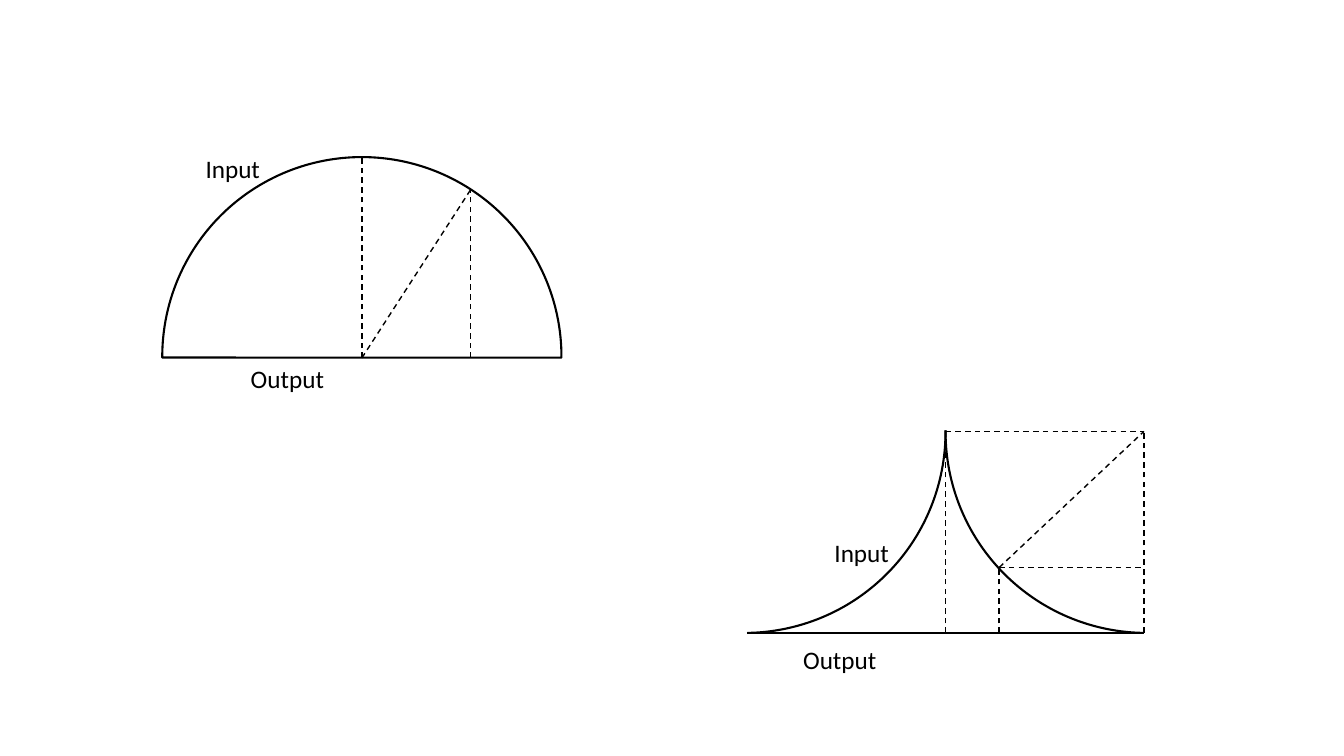
"""Build a slide with a semicircle and a cusp, each mapping input to output."""
from lxml.etree import SubElement
from pptx import Presentation
from pptx.dml.color import RGBColor
from pptx.enum.dml import MSO_LINE
from pptx.enum.shapes import MSO_CONNECTOR, MSO_SHAPE
from pptx.enum.text import MSO_AUTO_SIZE
from pptx.oxml.ns import qn
from pptx.util import Cm, Pt

THEME = {
    "ink": RGBColor(0, 0, 0),
    "solid": {"width": Pt(1.5)},
    "dashed": {"width": Pt(1), "dash_style": MSO_LINE.DASH},
    "font": {"name": "Calibri", "size": Pt(18)},
    "frame": {"word_wrap": False, "auto_size": MSO_AUTO_SIZE.SHAPE_TO_FIT_TEXT},
}


def apply_format(target, values):
    """Set each named format value on the target."""
    for name, value in values.items():
        setattr(target, name, value)


def draw_line(start, end, style):
    """Draw a straight line between two points given in centimetres."""
    line = page.shapes.add_connector(
        MSO_CONNECTOR.STRAIGHT, *map(Cm, start), *map(Cm, end))
    line.line.color.rgb = THEME["ink"]
    apply_format(line.line, THEME[style])
    SubElement(line.element.spPr, qn("a:effectLst"))


deck = Presentation()
apply_format(deck, {"slide_width": Cm(33.87), "slide_height": Cm(19.05)})
page = deck.slides.add_slide(deck.slide_layouts[6])

center_x, dome_top, dome_base = 9.12, 3.96, 9.02
ray_x, ray_y = 11.86, 4.78
cusp_x, cusp_top, cusp_base, cusp_right = 23.83, 10.87, 15.95, 28.83
touch_x, touch_y = 25.18, 14.3
arc_size = 10.13
arc_top = cusp_base - arc_size

curves = [
    (MSO_SHAPE.CHORD, 4.09, dome_top, 10.06, (107.857, 0.169)),
    (MSO_SHAPE.ARC, cusp_x - arc_size, arc_top, arc_size, (215.734, 53.527)),
    (MSO_SHAPE.ARC, cusp_x, arc_top, arc_size, (54.473, 108.266)),
]
for kind, left, top, size, angles in curves:
    curve = page.shapes.add_shape(kind, Cm(left), Cm(top), Cm(size), Cm(size))
    curve.shadow.inherit = False
    curve.fill.background()
    curve.line.color.rgb = THEME["ink"]
    apply_format(curve.line, THEME["solid"])
    for index, angle in enumerate(angles):
        curve.adjustments[index] = angle

draw_line((18.82, cusp_base), (cusp_right, cusp_base), "solid")

guides = [
    ((center_x, dome_base), (ray_x, ray_y)),
    ((center_x, dome_base), (center_x, dome_top)),
    ((ray_x, dome_base), (ray_x, ray_y)),
    ((cusp_right, cusp_base), (cusp_right, cusp_top)),
    ((cusp_x, cusp_top), (cusp_right, cusp_top)),
    ((cusp_x, cusp_base), (cusp_x, cusp_top)),
    ((touch_x, touch_y), (cusp_right, touch_y)),
    ((touch_x, cusp_base), (touch_x, touch_y)),
    ((touch_x, touch_y), (cusp_right, cusp_top)),
]
for start, end in guides:
    draw_line(start, end, "dashed")

labels = [
    ("Input", 4.93, 3.73, 1.91),
    ("Output", 6.07, 9.02, 2.39),
    ("Output", 19.99, 16.1, 2.39),
    ("Input", 20.78, 13.41, 1.91),
]
for text, left, top, width in labels:
    box = page.shapes.add_textbox(Cm(left), Cm(top), Cm(width), Cm(1.02))
    apply_format(box.text_frame, THEME["frame"])
    span = box.text_frame.paragraphs[0].add_run()
    span.text = text
    apply_format(span.font, THEME["font"])
    span.font.color.rgb = THEME["ink"]

deck.save("out.pptx")
